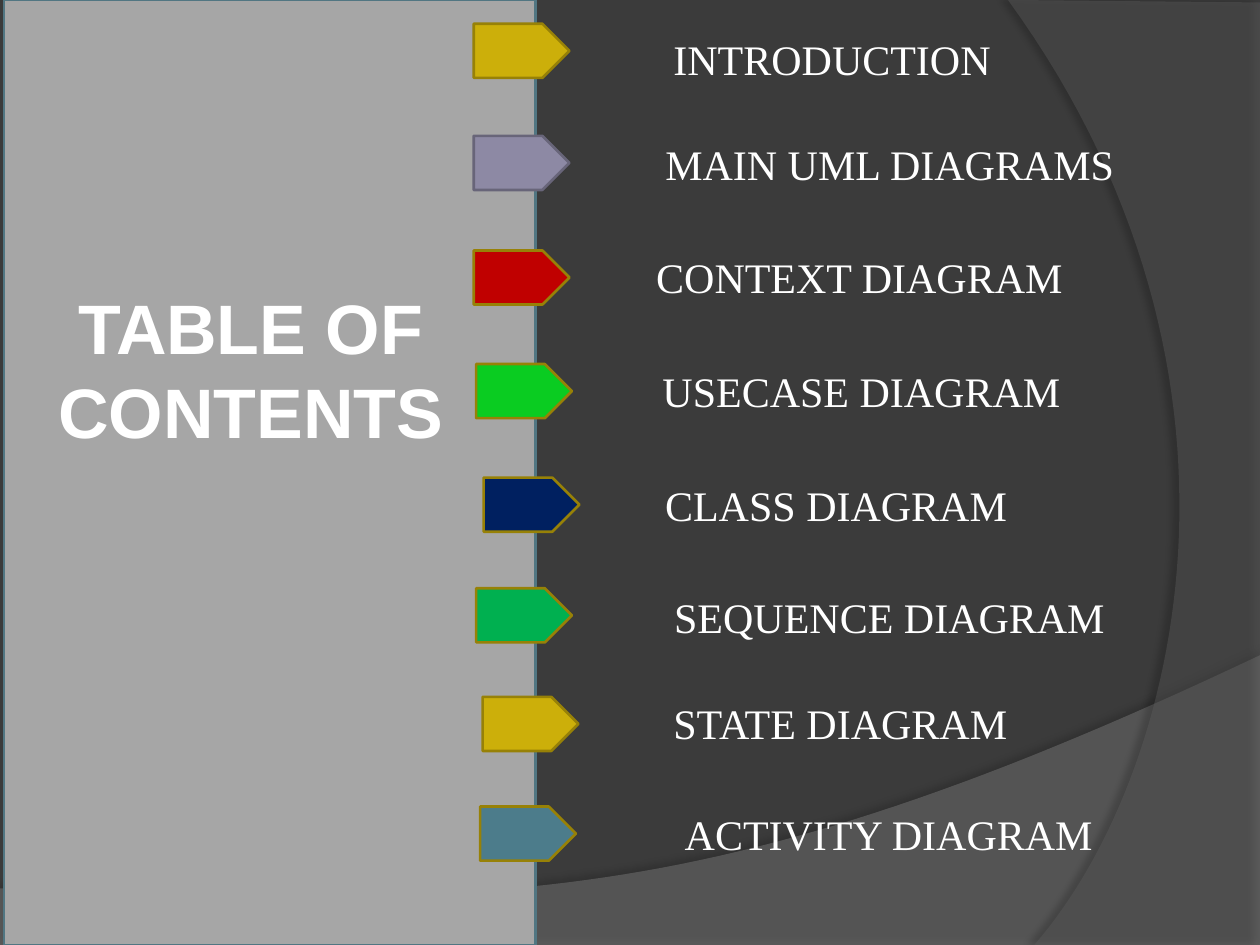
from dataclasses import dataclass

from lxml import etree
from pptx import Presentation
from pptx import util as u
from pptx.dml.color import RGBColor
from pptx.enum import shapes, text
from pptx.oxml.ns import qn


@dataclass(frozen=True)
class Theme:
    back: str = "3B3B3B"
    panel: str = "A6A6A6"
    panel_edge: str = "517682"
    wave: str = "7F7F7F"
    arc: str = "5E5E5E"
    ink: str = "FFFFFF"
    gold: str = "CCAF0A"
    gold_edge: str = "978107"
    violet: str = "8D89A4"
    violet_edge: str = "686579"
    title_font: str = "Arial"
    item_font: str = "Times New Roman"
    title_size: int = 40
    item_size: int = 24
    edge_width: float = 1.5


theme = Theme()
TITLE = "TABLE OF CONTENTS"
TITLE_BOX = (0.43, 5.61, 9.25, 3.68)
PANEL_BOX = (0.08, 0, 10.72, 19.05)
MARKER_SIZE = (1.93, 1.09)
LABEL_HEIGHT = 1.27

# label, (left, top, width), marker (left, top), fill, edge
ITEMS = [
    ("INTRODUCTION", (13.28, 0.56, 6.99), (9.55, 0.48), theme.gold, theme.gold_edge),
    ("MAIN UML DIAGRAMS", (13.11, 2.67, 9.65), (9.55, 2.74), theme.violet, theme.violet_edge),
    ("CONTEXT DIAGRAM", (12.93, 4.95, 8.79), (9.55, 5.05), "C00000", theme.gold_edge),
    ("USECASE DIAGRAM", (13.06, 7.24, 8.61), (9.6, 7.34), "0ACC21", theme.gold_edge),
    ("CLASS DIAGRAM", (13.11, 9.55, 7.49), (9.75, 9.63), "002060", theme.gold_edge),
    ("SEQUENCE DIAGRAM", (13.28, 11.79, 9.3), (9.6, 11.86), "00B050", theme.gold_edge),
    ("STATE DIAGRAM", (13.28, 13.94, 7.32), (9.73, 14.05), theme.gold, theme.gold_edge),
    ("ACTIVITY DIAGRAM", (13.51, 16.18, 8.81), (9.68, 16.26), "4C7C8B", theme.gold_edge),
]

WAVE_CURVE = [(25.4, 13.21), (14.2, 18.52), (9.93, 18.26), (0, 17.91)]
WAVE_CORNERS = [(0, 19.05), (25.4, 19.05)]
ARC_CURVE = [(20.85, 19.05), (23.75, 15.72), (25.86, 7.62), (20.32, 0)]
ARC_CORNERS = [(25.4, 0.05), (25.4, 19.05)]


def curve_points(controls, steps=60):
    for step in range(steps + 1):
        t = step / steps
        weights = ((1 - t) ** 3, 3 * t * (1 - t) ** 2, 3 * t * t * (1 - t), t ** 3)
        yield tuple(sum(w * point[axis] for w, point in zip(weights, controls)) for axis in (0, 1))


def paint(shape, fill, edge=None):
    shape.shadow.inherit = False
    shape.fill.solid()
    shape.fill.fore_color.rgb = RGBColor.from_string(fill)
    if edge:
        shape.line.color.rgb = RGBColor.from_string(edge)
        shape.line.width = u.Pt(theme.edge_width)
    else:
        shape.line.fill.background()


def add_sweep(page, curve, corners, fill, opacity, shade, distance, direction):
    points = [(u.Cm(x), u.Cm(y)) for x, y in [*curve_points(curve), *corners]]
    builder = page.shapes.build_freeform(*points[0])
    builder.add_line_segments(points[1:], close=True)
    sweep = builder.convert_to_shape()
    paint(sweep, fill)
    color = sweep.fill._xPr.find(qn("a:solidFill"))[0]
    etree.SubElement(color, qn("a:alpha"), val=str(opacity * 1000))
    effects = sweep._element.spPr.find(qn("a:effectLst"))
    shadow = etree.SubElement(
        effects, qn("a:outerShdw"), blurRad=str(u.Pt(4)), dist=str(u.Pt(distance)),
        dir=str(direction * 60000), algn="ctr", rotWithShape="0")
    black = etree.SubElement(shadow, qn("a:srgbClr"), val="000000")
    etree.SubElement(black, qn("a:alpha"), val=str(shade * 1000))


def add_block(page, kind, box, fill, edge):
    block = page.shapes.add_shape(kind, *map(u.Cm, box))
    paint(block, fill, edge)


def add_label(page, words, box, font, size, bold=False, wrap=False):
    label = page.shapes.add_textbox(*map(u.Cm, box))
    frame = label.text_frame
    frame.word_wrap = wrap
    frame.auto_size = text.MSO_AUTO_SIZE.SHAPE_TO_FIT_TEXT
    para = frame.paragraphs[0]
    para.alignment = text.PP_ALIGN.CENTER
    span = para.add_run()
    span.text = words
    span.font.name = font
    span.font.size = u.Pt(size)
    span.font.bold = bold
    span.font.color.rgb = RGBColor.from_string(theme.ink)


deck = Presentation()
deck.slide_width, deck.slide_height = u.Cm(25.4), u.Cm(19.05)
page = deck.slides.add_slide(deck.slide_layouts[6])
page.background.fill.solid()
page.background.fill.fore_color.rgb = RGBColor.from_string(theme.back)

add_sweep(page, WAVE_CURVE, WAVE_CORNERS, theme.wave, 45, 35, 3.5, 270)
add_sweep(page, ARC_CURVE, ARC_CORNERS, theme.arc, 40, 45, 4, 180)
add_block(page, shapes.MSO_SHAPE.RECTANGLE, PANEL_BOX, theme.panel, theme.panel_edge)
add_label(page, TITLE, TITLE_BOX, theme.title_font, theme.title_size, bold=True, wrap=True)

for words, (left, top, width), corner, fill, edge in ITEMS:
    add_block(page, shapes.MSO_SHAPE.PENTAGON, (*corner, *MARKER_SIZE), fill, edge)
    add_label(page, words, (left, top, width, LABEL_HEIGHT), theme.item_font, theme.item_size)

deck.save("out.pptx")
